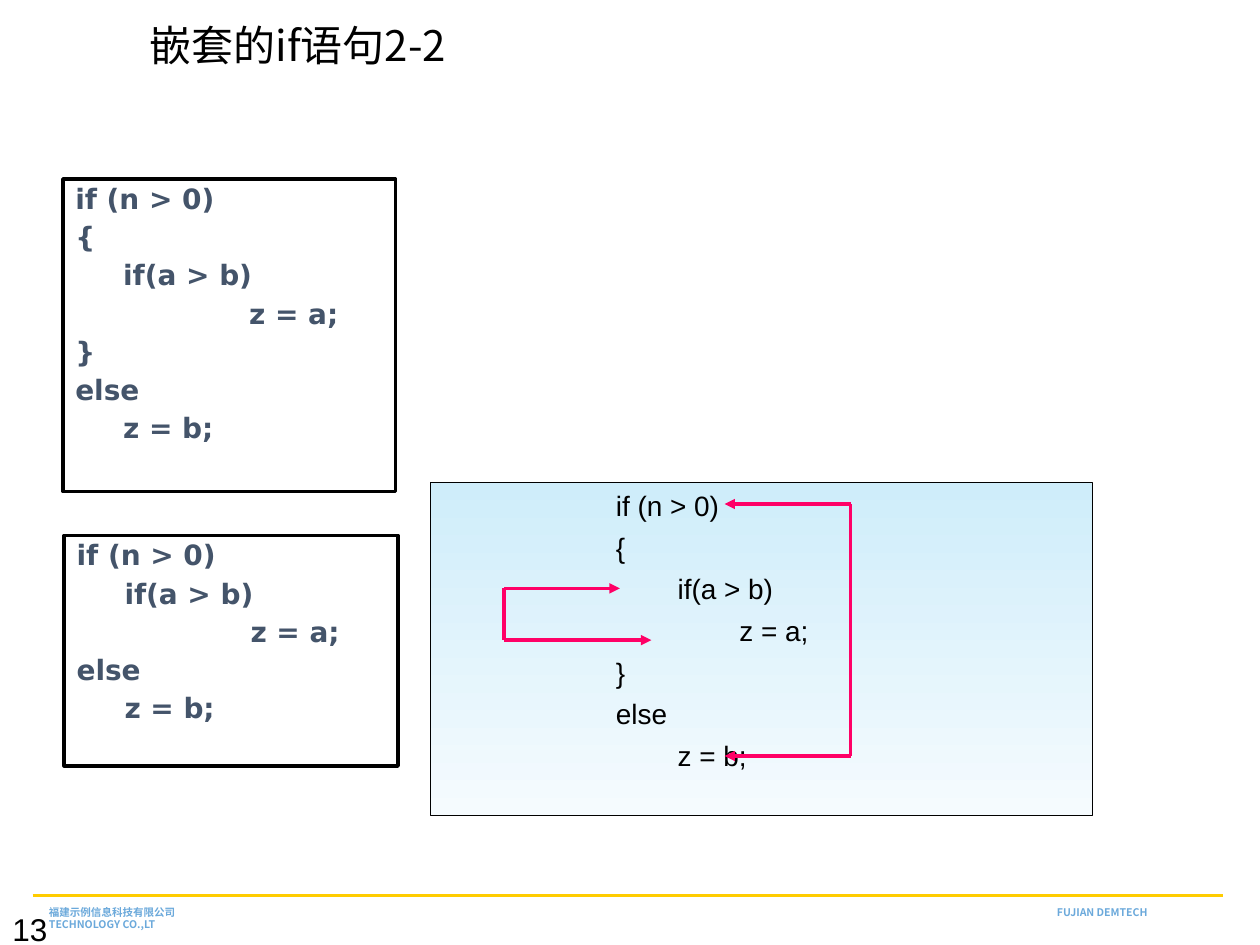
"""Build the slide on nested if statements."""
from dataclasses import dataclass

from lxml import etree
from pptx import Presentation
from pptx.dml.color import RGBColor
from pptx.enum import shapes, text
from pptx.oxml import ns
from pptx.util import Inches, Pt


@dataclass(frozen=True)
class Theme:
    black: str = "000000"
    code: str = "44546A"
    arrow: str = "FF0066"
    rule: str = "FFCC00"
    footer: str = "6BA9DB"
    panel: tuple = ("CFEDFA", "F5FBFE")
    sans: str = "Arial"
    mono: str = "DejaVu Sans"
    cjk: str = "Noto Sans CJK SC"
    title_size: float = 24
    number_size: float = 18
    code_size: float = 16
    footer_size: float = 6
    code_gap: float = 4.6


T = Theme()
BRACED = [(0, "if (n > 0)"), (0, "{"), (1, "if(a > b)"), (2, "z = a;"),
          (0, "}"), (0, "else"), (1, "z = b;")]
UNBRACED = [line for line in BRACED if line[1] not in "{}"]
OUTER = [((6.75, 4), (6.75, 6), 2, False),
         ((6.75, 4), (5.75, 4), 1.75, True),
         ((6.75, 6), (5.75, 6), 1.75, True)]
INNER = [((4, 5.08), (5.17, 5.08), 2, True),
         ((4, 4.67), (4, 5.08), 2, False),
         ((4, 4.67), (4.92, 4.67), 2, True)]


def rgb(color):
    return RGBColor.from_string(color)


def style(p, size, name, color, bold=False):
    f = p.font
    f.size, f.name, f.bold = Pt(size), name, bold
    f.color.rgb = rgb(color)


def add_label(s, box, content, size, name, color, bold=False, spacing=None):
    tb = s.shapes.add_textbox(*map(Inches, box))
    tb.text_frame.word_wrap = True
    p = tb.text_frame.paragraphs[0]
    p.text = content
    p.line_spacing = spacing
    style(p, size, name, color, bold)
    for r in p.runs:
        ea = etree.SubElement(r._r.get_or_add_rPr(), ns.qn("a:ea"))
        ea.set("typeface", name)
    return p


def add_tab_stop(p, pos):
    tabs = etree.SubElement(p._p.get_or_add_pPr(), ns.qn("a:tabLst"))
    etree.SubElement(tabs, ns.qn("a:tab"), pos=str(Inches(pos)), algn="l")
    p._p.pPr.insert(0, tabs)


def add_code(s, box, lines, indents, name, color, bold, border, spacing=None):
    sp = s.shapes.add_shape(shapes.MSO_SHAPE.RECTANGLE, *map(Inches, box))
    sp.shadow.inherit = False
    sp.fill.background()
    sp.line.color.rgb = rgb(T.black)
    sp.line.width = Pt(border)
    tf = sp.text_frame
    tf.word_wrap = True
    tf.vertical_anchor = text.MSO_ANCHOR.TOP
    for i, (level, code) in enumerate(lines):
        p = tf.paragraphs[0] if i == 0 else tf.add_paragraph()
        p.text = code
        p.alignment = text.PP_ALIGN.LEFT
        p.space_before = Pt(T.code_gap)
        p.line_spacing = spacing
        p._p.get_or_add_pPr().set("marL", str(Inches(indents[level])))
        style(p, T.code_size, name, color, bold)
    return sp


def fill_gradient(sp, colors):
    sp.fill.gradient()
    sp.fill.gradient_angle = 270
    for stop, color, pos in zip(sp.fill.gradient_stops, colors, (0, 1)):
        stop.color.rgb = rgb(color)
        stop.position = pos


def add_line(parent, start, end, width, color, arrow=False):
    c = parent.add_connector(shapes.MSO_CONNECTOR.STRAIGHT,
                             *map(Inches, (*start, *end)))
    c.line.color.rgb = rgb(color)
    c.line.width = Pt(width)
    if arrow:
        etree.SubElement(c.line._get_or_add_ln(), ns.qn("a:tailEnd"), type="triangle")
    etree.SubElement(c._element.spPr, ns.qn("a:effectLst"))


def add_bracket(s, lines):
    group = s.shapes.add_group_shape()
    for start, end, width, arrow in lines:
        add_line(group.shapes, start, end, width, T.arrow, arrow)


def main():
    prs = Presentation()
    prs.slide_width, prs.slide_height = Inches(10), Inches(7.5)
    s = prs.slides.add_slide(prs.slide_layouts[6])

    add_line(s.shapes, (0.26, 7.11), (9.71, 7.11), 1.75, T.rule)
    footer = add_label(s, (0.29, 7.14, 9.41, 0.3),
                       "福建示例信息科技有限公司\tFUJIAN DEMTECH TECHNOLOGY CO.,LT",
                       T.footer_size, T.cjk, T.footer, bold=True)
    add_tab_stop(footer, 8)
    add_label(s, (1.09, 0.15, 8.63, 0.57), "嵌套的if语句2-2",
              T.title_size, T.cjk, T.black, spacing=0.9)
    add_label(s, (0, 7.17, 2.33, 0.26), "13", T.number_size, T.sans, T.black)

    panel = add_code(s, (3.42, 3.83, 5.25, 2.64), BRACED, (1.37, 1.86, 2.35),
                     T.sans, T.black, False, 0.5)
    fill_gradient(panel, T.panel)
    add_bracket(s, OUTER)
    boxes = [((0.5, 1.42, 2.64, 2.48), BRACED), ((0.51, 4.25, 2.65, 1.83), UNBRACED)]
    for (box, lines), bracket in zip(boxes, (INNER, [])):
        add_code(s, box, lines, (0, 0.38, 1.38), T.mono, T.code, True, 2, 0.9)
        if bracket:
            add_bracket(s, bracket)

    prs.save("out.pptx")


if __name__ == "__main__":
    main()
